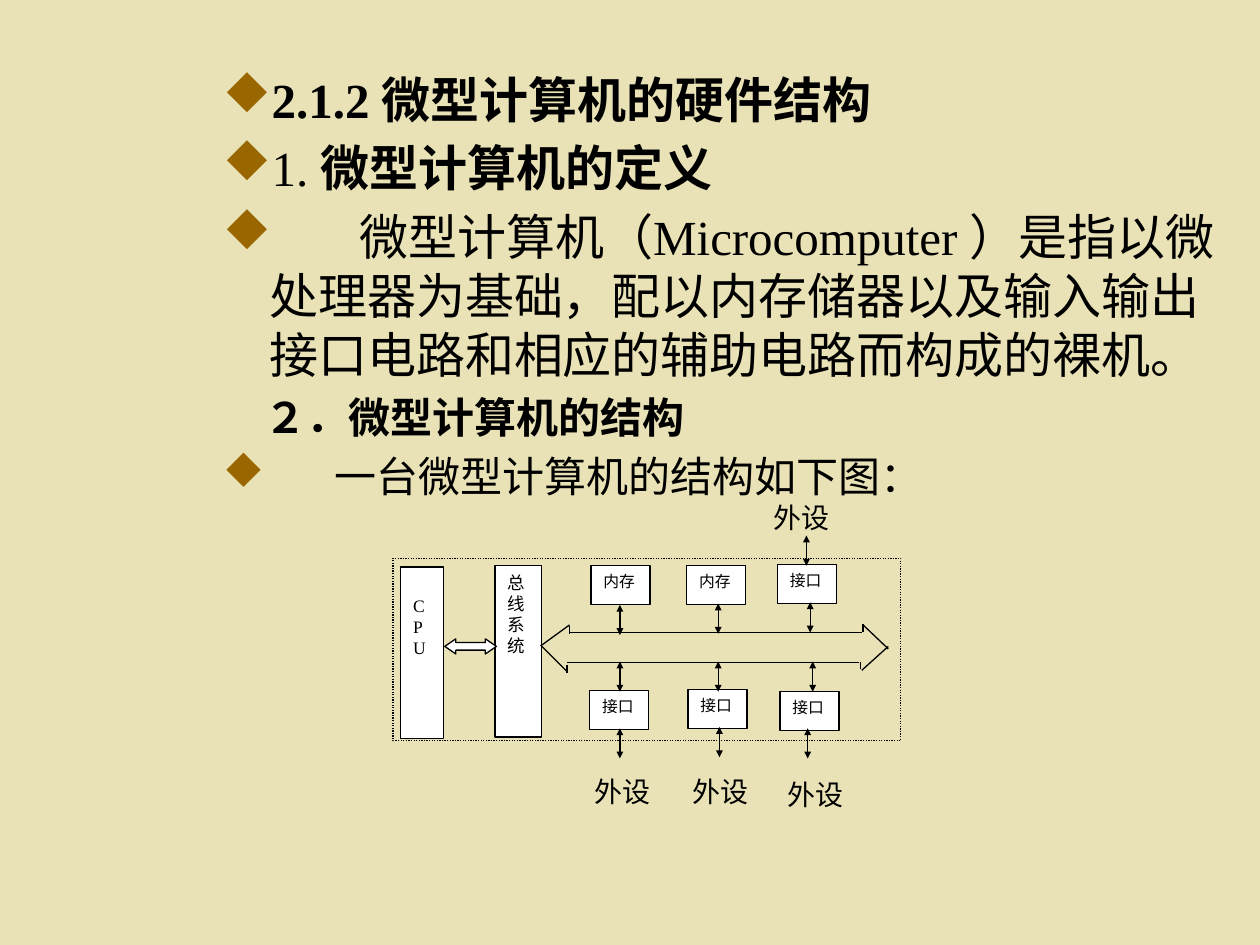
from typing import NamedTuple

from lxml import etree
from pptx import Presentation, util as u
from pptx.dml.color import RGBColor
from pptx.enum import dml, shapes, text
from pptx.oxml import ns

COLORS = {"page": "E9E2B6", "ink": "000000", "box": "FFFFFF", "bullet": "996600"}
FONT = "Times New Roman"
DIAMOND = {"font": "Wingdings", "char": "u"}
HANG = 0.37


class Para(NamedTuple):
    """A body paragraph: its (text, bold) runs and its layout."""
    runs: tuple
    size: int = 28
    margin: float = HANG
    bullet: bool = True
    first_gap: int = 0


class Box(NamedTuple):
    """A labelled box of the diagram."""
    label: str
    x: float
    y: float
    w: float = 0.47
    h: float = 0.31
    size: int = 9
    inset: float = 0.05


class Line(NamedTuple):
    """A straight line from (x1, y1) to (x2, y2)."""
    x1: float
    y1: float
    x2: float
    y2: float


BODY = (
    Para((("2.1.2 微型计算机的硬件结构", True),)),
    Para((("1. ", False), ("微型计算机的定义", True))),
    Para((("微型计算机（Microcomputer ）是指以微处理器为基础，配以内存储器以及输入输出"
           "接口电路和相应的辅助电路而构成的裸机。", False),), first_gap=44),
    Para((("２．微型计算机的结构", True),), 24, 0.33, False),
    Para((("一台微型计算机的结构如下图：", False),), 24, 0.89),
)
BOXES = (
    Box("总线系统", 3.93, 4.49, 0.37, 1.36, 10),
    Box("CPU", 3.18, 4.5, 0.34, 1.36, 10, 0.22),
    Box("内存", 4.69, 4.49), Box("内存", 5.45, 4.49), Box("接口", 6.17, 4.48),
    Box("接口", 4.68, 5.48), Box("接口", 5.46, 5.47), Box("接口", 6.19, 5.49),
)
BUS = (
    Line(4.5, 5.26, 6.82, 5.26), Line(4.52, 5.02, 6.84, 5.02),
    Line(4.5, 5.28, 4.5, 5.34), Line(4.52, 4.97, 4.52, 5.03),
    Line(4.29, 5.12, 4.5, 5.33), Line(4.3, 5.12, 4.52, 4.96),
    Line(6.85, 5.02, 6.85, 4.95), Line(6.83, 5.31, 6.83, 5.25),
    Line(6.84, 5.32, 7.05, 5.13), Line(6.85, 4.96, 7.05, 5.15),
)
ARROW_LENGTH = 0.24
ARROWS = ((4.92, 4.8), (5.7, 4.79), (6.43, 4.78), (6.4, 4.25),
          (4.92, 5.25), (5.7, 5.25), (6.45, 5.25),
          (4.92, 5.78), (5.71, 5.77), (6.41, 5.78))
DEVICES = ((4.62, 6.1), (5.4, 6.1), (6.15, 6.12), (6.04, 3.92))


def rgb(name: str) -> RGBColor:
    """Look up a named colour."""
    return RGBColor.from_string(COLORS[name])


def add_run(p, content: str, *, size: int, bold: bool = False):
    """Add formatted text to a paragraph."""
    r = p.add_run()
    r.text = content
    r.font.name, r.font.size, r.font.bold = FONT, u.Pt(size), bold
    r.font.color.rgb = rgb("ink")
    return r


def add_bullet(pPr, margin: float) -> None:
    """Hang a diamond bullet in the paragraph's margin."""
    pPr.set("indent", str(-u.Inches(margin)))
    color = etree.SubElement(pPr, ns.qn("a:buClr"))
    etree.SubElement(color, ns.qn("a:srgbClr"), val=COLORS["bullet"])
    etree.SubElement(pPr, ns.qn("a:buFont"), typeface=DIAMOND["font"],
                     pitchFamily="2", charset="2")
    etree.SubElement(pPr, ns.qn("a:buChar"), char=DIAMOND["char"])


def add_body(slide) -> None:
    """Write the bulleted paragraphs."""
    sp = slide.shapes.add_textbox(*map(u.Inches, (1.67, 0.5, 8.33, 7)))
    tf = sp.text_frame
    tf.word_wrap = True
    for i, para in enumerate(BODY):
        p = tf.add_paragraph() if i else tf.paragraphs[0]
        p.space_before = u.Pt(para.size * 0.2)
        pPr = p._p.get_or_add_pPr()
        pPr.set("marL", str(u.Inches(para.margin)))
        if para.bullet:
            add_bullet(pPr, para.margin)
        if para.first_gap:
            gap = add_run(p, " ", size=para.size)
            gap.font._element.set("spc", str(para.first_gap * 100))
        for content, bold in para.runs:
            add_run(p, content, size=para.size, bold=bold)


def add_shape(slide, kind, x: float, y: float, w: float, h: float, filled: bool = True):
    """Add a thinly outlined shape."""
    sp = slide.shapes.add_shape(kind, *map(u.Inches, (x, y, w, h)))
    sp.shadow.inherit = False
    if filled:
        sp.fill.solid()
        sp.fill.fore_color.rgb = rgb("box")
    else:
        sp.fill.background()
    sp.line.color.rgb, sp.line.width = rgb("ink"), u.Pt(0.75)
    return sp


def add_box(slide, box: Box) -> None:
    """Draw one labelled box."""
    sp = add_shape(slide, shapes.MSO_SHAPE.RECTANGLE, box.x, box.y, box.w, box.h)
    tf = sp.text_frame
    tf.word_wrap, tf.vertical_anchor = True, text.MSO_ANCHOR.TOP
    tf.margin_top = u.Inches(box.inset)
    p = tf.paragraphs[0]
    p.alignment = text.PP_ALIGN.JUSTIFY
    add_run(p, box.label, size=box.size)


def add_line(slide, line: Line, arrows: bool = False) -> None:
    """Draw a line, with small arrowheads at both ends if wanted."""
    c = slide.shapes.add_connector(shapes.MSO_CONNECTOR.STRAIGHT, *map(u.Inches, line))
    c.line.color.rgb, c.line.width = rgb("ink"), u.Pt(0.75)
    if arrows:
        for end in ("a:headEnd", "a:tailEnd"):
            etree.SubElement(c.line._get_or_add_ln(), ns.qn(end),
                             type="triangle", w="sm", len="sm")
    etree.SubElement(c._element.spPr, ns.qn("a:effectLst"))


def add_device(slide, x: float, y: float) -> None:
    """Label a peripheral device."""
    sp = slide.shapes.add_textbox(*map(u.Inches, (x, y, 0.65, 0.37)))
    tf = sp.text_frame
    tf.word_wrap, tf.auto_size = False, text.MSO_AUTO_SIZE.SHAPE_TO_FIT_TEXT
    add_run(tf.paragraphs[0], "外设", size=16)


def add_diagram(slide) -> None:
    """Draw the structure of the microcomputer."""
    for box in BOXES:
        add_box(slide, box)
    for line in BUS:
        add_line(slide, line)
    link = add_shape(slide, shapes.MSO_SHAPE.LEFT_RIGHT_ARROW, 3.53, 5.07, 0.41, 0.12)
    link.adjustments[0], link.adjustments[1] = 0.5, 0.73
    frame = add_shape(slide, shapes.MSO_SHAPE.RECTANGLE, 3.12, 4.43, 4.03, 1.45, False)
    frame.line.dash_style = dml.MSO_LINE.ROUND_DOT
    for x, y in ARROWS:
        add_line(slide, Line(x, y, x, y + ARROW_LENGTH), arrows=True)
    for x, y in DEVICES:
        add_device(slide, x, y)


def main() -> None:
    """Build and save the slide."""
    prs = Presentation()
    prs.slide_width, prs.slide_height = u.Inches(10), u.Inches(7.5)
    slide = prs.slides.add_slide(prs.slide_layouts[6])
    slide.background.fill.solid()
    slide.background.fill.fore_color.rgb = rgb("page")
    add_body(slide)
    add_diagram(slide)
    prs.save("out.pptx")


main()
